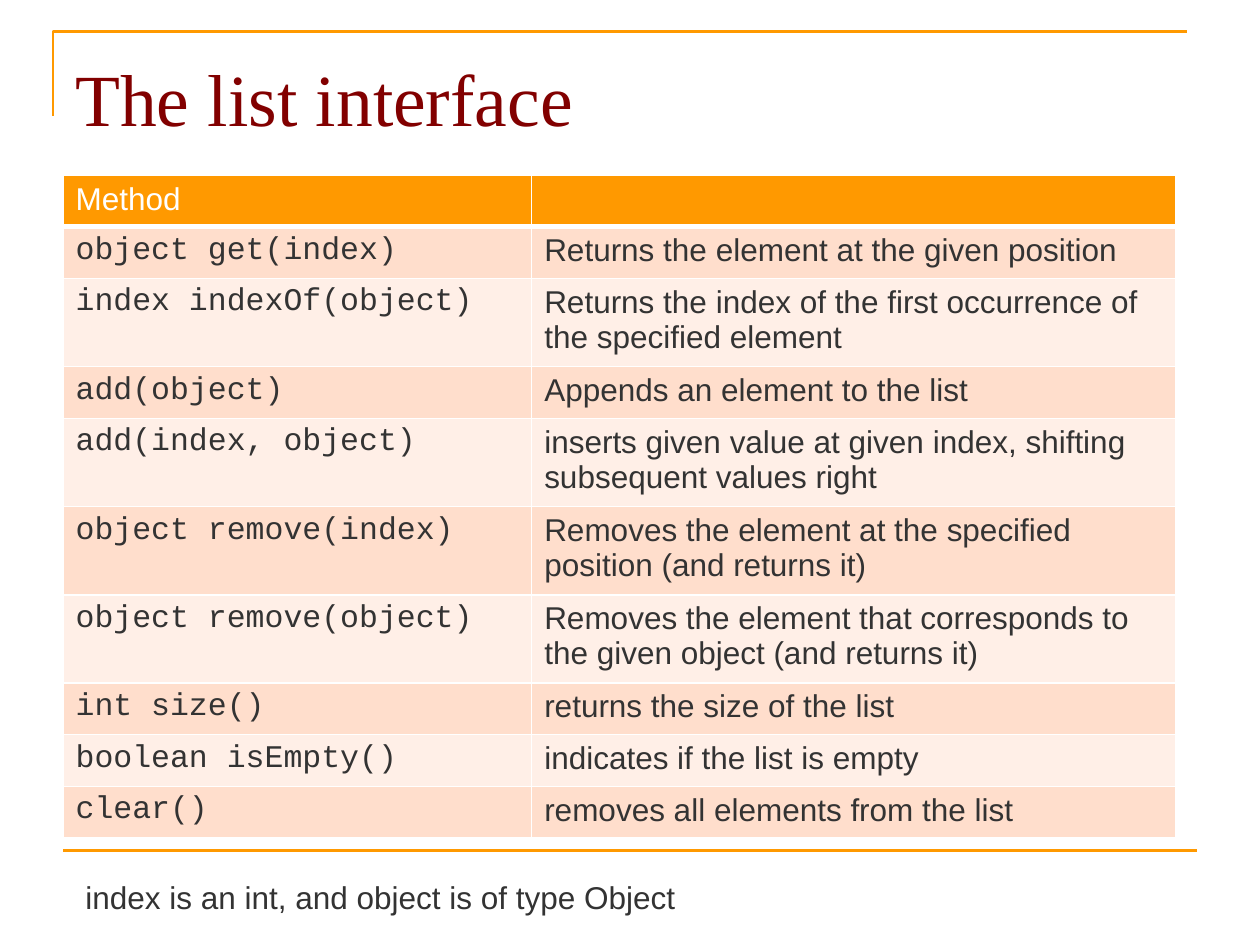
from dataclasses import dataclass

from lxml import etree
from pptx import Presentation
from pptx import util as u
from pptx.dml.color import RGBColor
from pptx.enum import shapes, text
from pptx.oxml import ns


@dataclass(frozen=True)
class Theme:
    orange: str = "FF9900"
    maroon: str = "820000"
    dark: str = "333333"
    white: str = "FFFFFF"
    bands: tuple = ("FFDECC", "FFEFE7")
    serif: str = "Times New Roman"
    sans: str = "Arial"
    mono: str = "Courier New"
    head: float = 42
    body: float = 18
    rule: float = 1.5


THEME = Theme()

METHODS = [
    ("object get(index)", "Returns the element at the given position"),
    ("index indexOf(object)",
     "Returns the index of the first occurrence of the specified element"),
    ("add(object)", "Appends an element to the list"),
    ("add(index, object)",
     "inserts given value at given index, shifting subsequent values right"),
    ("object remove(index)",
     "Removes the element at the specified position (and returns it)"),
    ("object remove(object)",
     "Removes the element that corresponds to the given object (and returns it)"),
    ("int size()", "returns the size of the list"),
    ("boolean isEmpty()", "indicates if the list is empty"),
    ("clear()", "removes all elements from the list"),
]


def write(frame, words, font=THEME.sans, size=THEME.body, color=THEME.dark):
    """Put formatted words in the first paragraph of a frame."""
    para = frame.paragraphs[0]
    if not words:
        para.font.size = u.Pt(size)
        return
    run = para.add_run()
    run.text = words
    run.font.name = font
    run.font.size = u.Pt(size)
    run.font.color.rgb = RGBColor.from_string(color)


def add_text(slide, box, words, wrap=True, top=0.05, **style):
    frame = slide.shapes.add_textbox(*map(u.Inches, box)).text_frame
    frame.word_wrap = wrap
    frame.margin_top = u.Inches(top)
    frame.vertical_anchor = text.MSO_ANCHOR.TOP
    if not wrap:
        frame.auto_size = text.MSO_AUTO_SIZE.SHAPE_TO_FIT_TEXT
    write(frame, words, **style)


def ink(line):
    line.color.rgb = RGBColor.from_string(THEME.orange)
    line.width = u.Pt(THEME.rule)


def add_frame(slide):
    """Corner rule at the top and straight rule at the foot."""
    start, *rest = [(u.Inches(x), u.Inches(y))
                    for x, y in ((0.42, 0.92), (0.42, 0.25), (9.42, 0.25))]
    path = slide.shapes.build_freeform(*start)
    path.add_line_segments(rest, close=False)
    corner = path.convert_to_shape()
    corner.shadow.inherit = False
    corner.fill.background()
    ink(corner.line)

    foot = slide.shapes.add_connector(
        shapes.MSO_CONNECTOR.STRAIGHT,
        *map(u.Inches, (0.5, 6.75, 9.5, 6.75)))
    ink(foot.line)
    etree.SubElement(foot.element.spPr, ns.qn("a:effectLst"))


def edge(cell, base=1):
    """White borders, with the bottom one of its own width."""
    props = cell._tc.get_or_add_tcPr()
    for side, width in (("L", 1), ("R", 1), ("T", 1), ("B", base)):
        line = etree.SubElement(props, ns.qn("a:ln" + side), w=str(u.Pt(width)))
        fill = etree.SubElement(line, ns.qn("a:solidFill"))
        etree.SubElement(fill, ns.qn("a:srgbClr"), val=THEME.white)


def set_cell(cell, words, back, base=1, **style):
    edge(cell, base)
    cell.fill.solid()
    cell.fill.fore_color.rgb = RGBColor.from_string(back)
    write(cell.text_frame, words, **style)


def add_grid(slide):
    count = len(METHODS) + 1
    high = 0.41
    grid = slide.shapes.add_table(
        count, 2, *map(u.Inches, (0.5, 1.39, 8.83, high * count))).table
    for col, width in zip(grid.columns, (3.72, 5.11)):
        col.width = u.Inches(width)
    for row in grid.rows:
        row.height = u.Inches(high)

    # Header row
    for col, words in enumerate(("Method", "")):
        set_cell(grid.cell(0, col), words, THEME.orange, base=3,
                 color=THEME.white)

    # Banded method rows
    for row, pair in enumerate(METHODS, 1):
        back = THEME.bands[(row - 1) % 2]
        for col, font in enumerate((THEME.mono, THEME.sans)):
            set_cell(grid.cell(row, col), pair[col], back, font=font)


def main():
    deck = Presentation()
    deck.slide_width, deck.slide_height = u.Inches(10), u.Inches(7.5)
    slide = deck.slides.add_slide(deck.slide_layouts[6])

    add_frame(slide)
    add_text(slide, (0.5, 0.3, 9, 1.03), "The list interface", top=0.12,
             font=THEME.serif, size=THEME.head, color=THEME.maroon)
    add_grid(slide)
    add_text(slide, (0.58, 6.92, 4.93, 0.4),
             "index is an int, and object is of type Object", wrap=False)

    deck.save("out.pptx")


if __name__ == "__main__":
    main()
